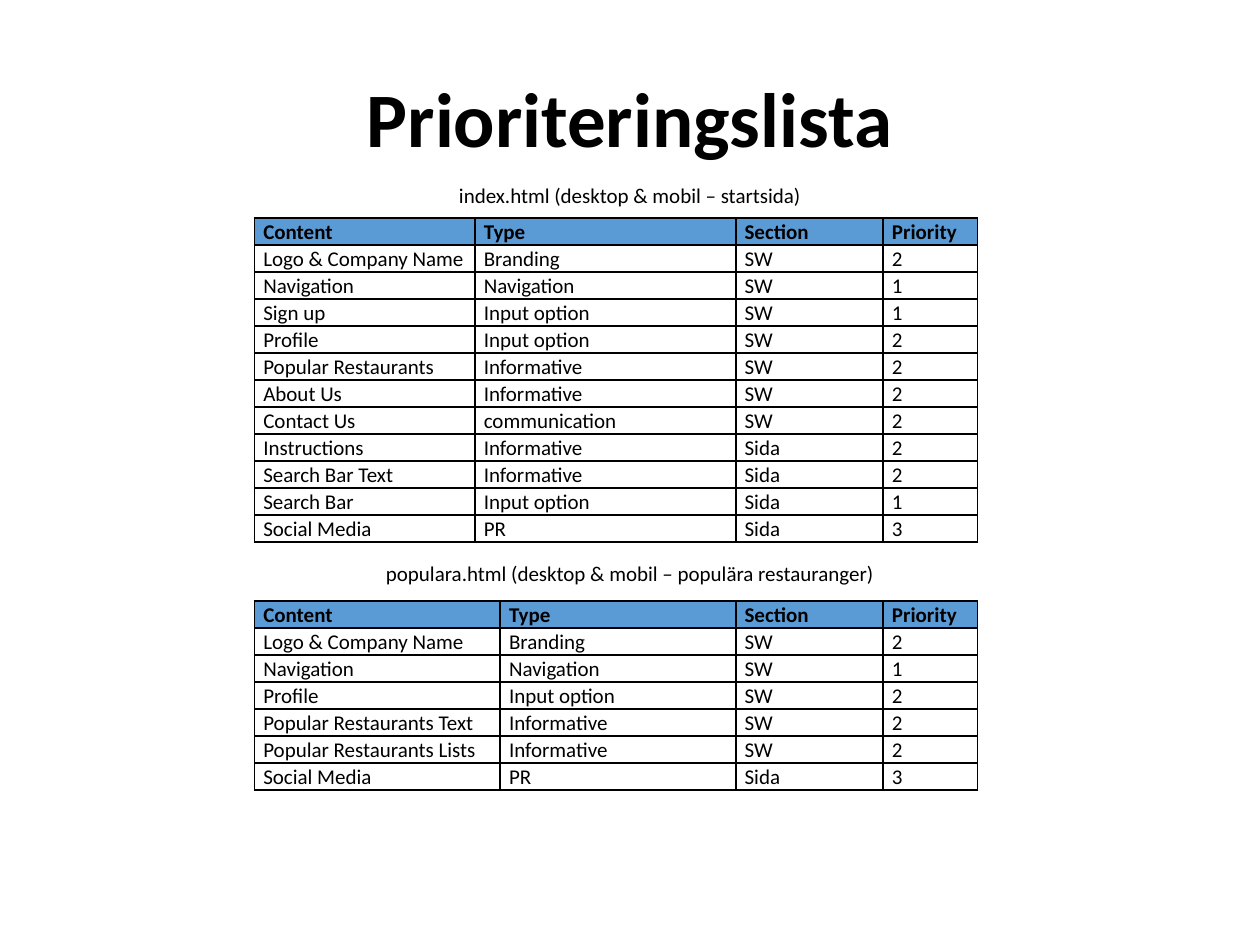
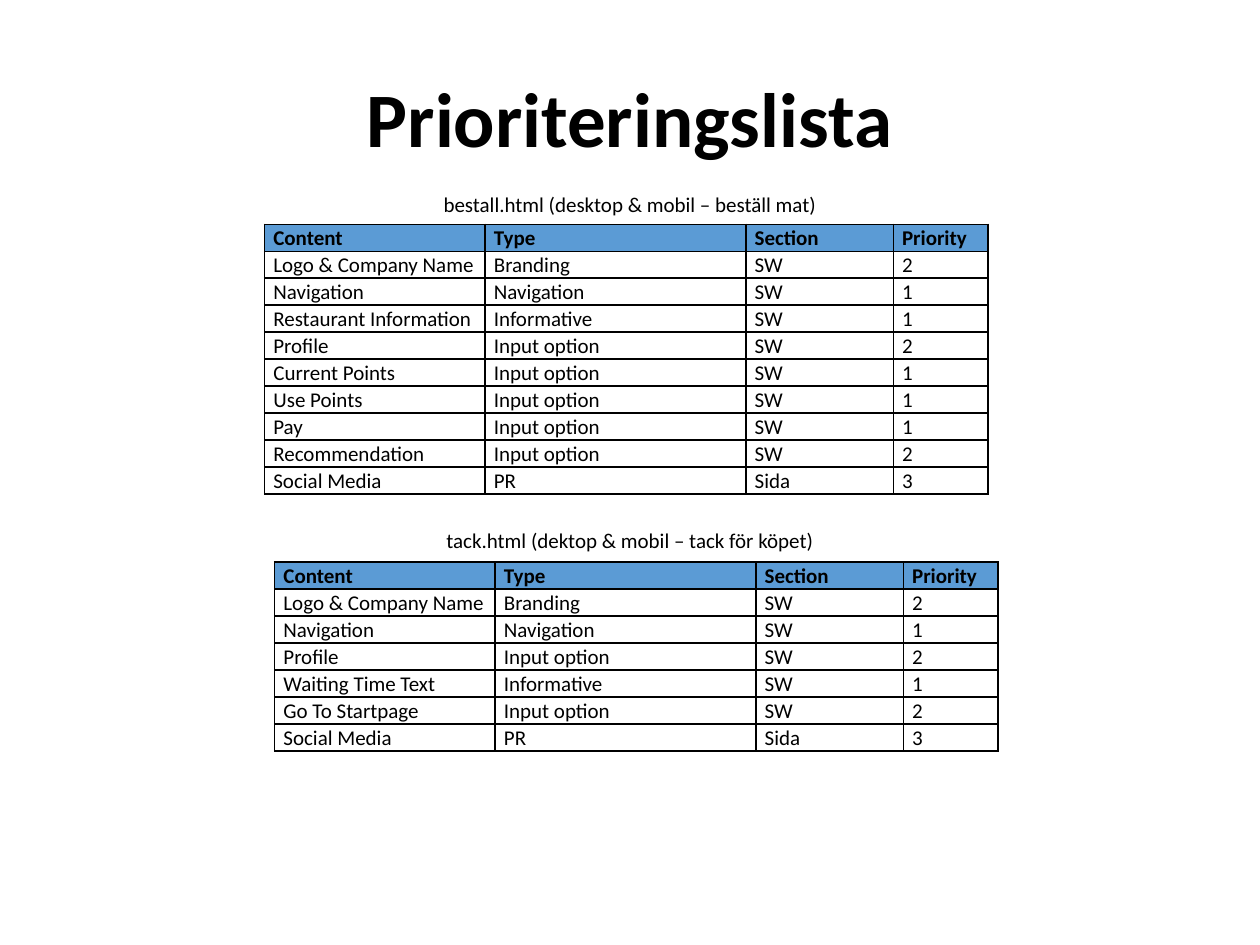
import pptx
import pptx.util
import pptx.dml.color
import pptx.enum.text
import pptx.oxml
import pptx.oxml.ns

Inches, Pt = pptx.util.Inches, pptx.util.Pt
COLORS = {"text": "000000", "border": "000000", "header": "5B9BD5"}
FONT = "Calibri"
HEADER = ("Content", "Type", "Section", "Priority")
ROW_HEIGHT = 0.214
STANDARD_COLS = (1.75, 2.07, 1.17, 0.75)
WIDE_CONTENT_COLS = (1.95, 1.87, 1.17, 0.75)

LOGO = ("Logo & Company Name", "Branding", "SW", "2")
NAVIGATION = ("Navigation", "Navigation", "SW", "1")
PROFILE = ("Profile", "Input option", "SW", "2")
SOCIAL = ("Social Media", "PR", "Sida", "3")

# Each list: caption, caption top, table left, table top, column widths, rows
SLIDES = [
    [
        ("index.html (desktop & mobil – startsida)", 1.4, 2.02, 1.73, STANDARD_COLS, [
            LOGO,
            NAVIGATION,
            ("Sign up", "Input option", "SW", "1"),
            PROFILE,
            ("Popular Restaurants", "Informative", "SW", "2"),
            ("About Us", "Informative", "SW", "2"),
            ("Contact Us", "communication", "SW", "2"),
            ("Instructions", "Informative", "Sida", "2"),
            ("Search Bar Text", "Informative", "Sida", "2"),
            ("Search Bar", "Input option", "Sida", "1"),
            SOCIAL,
        ]),
        ("populara.html (desktop & mobil – populära restauranger)", 4.4, 2.02, 4.77,
         WIDE_CONTENT_COLS, [
            LOGO,
            NAVIGATION,
            PROFILE,
            ("Popular Restaurants Text", "Informative", "SW", "2"),
            ("Popular Restaurants Lists", "Informative", "SW", "2"),
            SOCIAL,
        ]),
    ],
    [
        ("bestall.html (desktop & mobil – beställ mat)", 1.47, 2.1, 1.78, STANDARD_COLS, [
            LOGO,
            NAVIGATION,
            ("Restaurant Information", "Informative", "SW", "1"),
            PROFILE,
            ("Current Points", "Input option", "SW", "1"),
            ("Use Points", "Input option", "SW", "1"),
            ("Pay", "Input option", "SW", "1"),
            ("Recommendation", "Input option", "SW", "2"),
            SOCIAL,
        ]),
        ("tack.html (dektop & mobil – tack för köpet)", 4.14, 2.18, 4.46, STANDARD_COLS, [
            LOGO,
            NAVIGATION,
            PROFILE,
            ("Waiting Time Text", "Informative", "SW", "1"),
            ("Go To Startpage", "Input option", "SW", "2"),
            SOCIAL,
        ]),
    ],
]


def write(tf, text, size, bold=False):
    """Put one formatted paragraph in a text frame and return it."""
    tf.text = text
    p = tf.paragraphs[0]
    font = p.runs[0].font
    font.name, font.size, font.bold = FONT, Pt(size), bold
    font.color.rgb = pptx.dml.color.RGBColor.from_string(COLORS["text"])
    return p


def add_centered_text(s, box, text, size, bold=False):
    tf = s.shapes.add_textbox(*map(Inches, box)).text_frame
    tf.word_wrap = True
    tf.vertical_anchor = pptx.enum.text.MSO_ANCHOR.MIDDLE
    write(tf, text, size, bold).alignment = pptx.enum.text.PP_ALIGN.CENTER


prs = pptx.Presentation()
prs.slide_width, prs.slide_height = Inches(10), Inches(7.5)

for lists in SLIDES:
    s = prs.slides.add_slide(prs.slide_layouts[6])
    add_centered_text(s, (0.5, 0.3, 9, 1.25), "Prioriteringslista", 44, bold=True)

    for caption, caption_top, left, top, cols, items in lists:
        rows = [HEADER] + items
        table = s.shapes.add_table(
            len(rows), len(cols), Inches(left), Inches(top),
            Inches(sum(cols)), Inches(ROW_HEIGHT * len(rows))).table
        table.first_row = table.horz_banding = False
        for column, width in zip(table.columns, cols):
            column.width = Inches(width)

        for i, row in enumerate(rows):
            table.rows[i].height = Inches(ROW_HEIGHT)
            for j, text in enumerate(row):
                cell = table.cell(i, j)
                cell.margin_left = cell.margin_right = Inches(0.07)
                cell.margin_top = cell.margin_bottom = 0
                write(cell.text_frame, text, 12, bold=i == 0).line_spacing = 1.07
                for side in "LRTB":
                    cell._tc.get_or_add_tcPr().append(pptx.oxml.parse_xml(
                        f'<a:ln{side} {pptx.oxml.ns.nsdecls("a")} w="{Pt(1)}"><a:solidFill>'
                        f'<a:srgbClr val="{COLORS["border"]}"/></a:solidFill></a:ln{side}>'))
                if i == 0:
                    cell.fill.solid()
                    cell.fill.fore_color.rgb = pptx.dml.color.RGBColor.from_string(
                        COLORS["header"])
                else:
                    cell.fill.background()

        add_centered_text(s, (0, caption_top, 10, 0.3), caption, 12)

prs.save("out.pptx")
